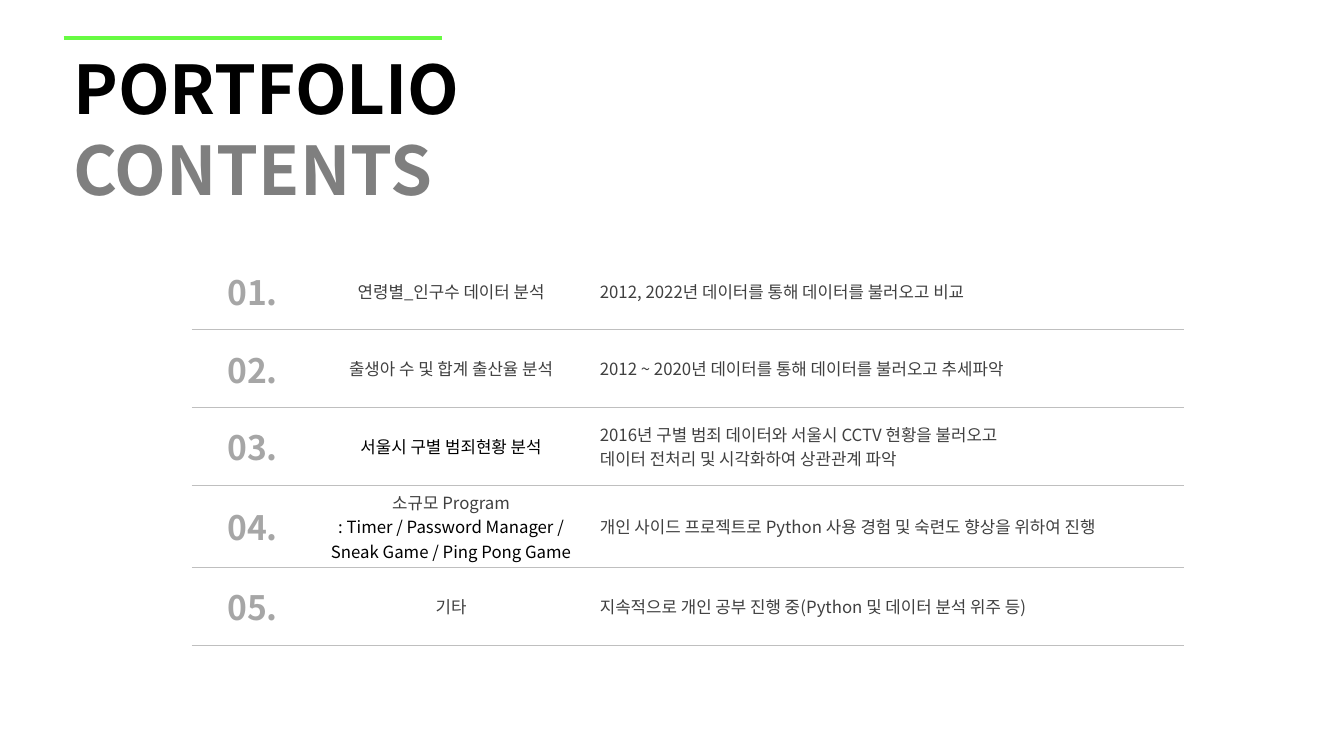
from lxml import etree
from pptx import Presentation
from pptx.dml.color import RGBColor
from pptx.enum.shapes import MSO_CONNECTOR
from pptx.enum.text import MSO_ANCHOR, PP_ALIGN
from pptx.oxml.ns import qn
from pptx.util import Inches, Pt

STRAIGHT = MSO_CONNECTOR.STRAIGHT
MIDDLE = MSO_ANCHOR.MIDDLE
LEFT, CENTER = PP_ALIGN.LEFT, PP_ALIGN.CENTER

HEADING = [("PORTFOLIO", "black"), (" CONTENTS", "gray")]
CONTENTS = [
    ([("연령별_인구수 데이터 분석", "text")],
     ["2012, 2022년 데이터를 통해 데이터를 불러오고 비교"]),
    ([("출생아 수 및 합계 출산율 분석", "text")],
     ["2012 ~ 2020년 데이터를 통해 데이터를 불러오고 추세파악"]),
    ([("서울시 구별 범죄현황 분석", "black")],
     ["2016년 구별 범죄 데이터와 서울시 CCTV 현황을 불러오고",
      "데이터 전처리 및 시각화하여 상관관계 파악"]),
    ([("소규모 Program", "text"),
      (": Timer / Password Manager / Sneak Game / Ping Pong Game", "black")],
     ["개인 사이드 프로젝트로 Python 사용 경험 및 숙련도 향상을 위하여 진행"]),
    ([("기타", "text")],
     ["지속적으로 개인 공부 진행 중(Python 및 데이터 분석 위주 등)"]),
]
COLUMN_WIDTHS = [1.19, 2.75, 5.89]
ROW_HEIGHTS = [0.77, 0.77, 0.77, 0.82, 0.77]

THEME = {
    "font": "Noto Sans CJK KR",
    "colors": {"black": "000000", "gray": "7F7F7F", "number": "A6A6A6",
               "text": "404040", "rule": "BFBFBF", "accent": "67FB42"},
    "sizes": {"heading": 48, "number": 24, "body": 12},
    "rule_width": 0.25,
    "accent_width": 3,
}


def rgb(color):
    return RGBColor.from_string(THEME["colors"][color])


def add_text(paragraph, text, size, color, bold=False):
    run = paragraph.add_run()
    run.text = text
    formats = {"name": THEME["font"], "size": Pt(THEME["sizes"][size]), "bold": bold}
    for attribute, value in formats.items():
        setattr(run.font, attribute, value)
    run.font.color.rgb = rgb(color)
    east_asian = etree.SubElement(run.font._element, qn("a:ea"))
    east_asian.set("typeface", THEME["font"])


def add_border(cell, side):
    border = etree.SubElement(cell._tc.get_or_add_tcPr(), qn(f"a:{side}"),
                              w=str(Pt(THEME["rule_width"])))
    fill = etree.SubElement(border, qn("a:solidFill"))
    etree.SubElement(fill, qn("a:srgbClr"), val=THEME["colors"]["rule"])


def fill_cell(cell, lines, size, alignment, bold, row):
    cell.vertical_anchor = MIDDLE
    if row > 0:
        add_border(cell, "lnT")
    add_border(cell, "lnB")
    cell.fill.background()
    frame = cell.text_frame
    for index, (text, color) in enumerate(lines):
        paragraph = frame.add_paragraph() if index else frame.paragraphs[0]
        paragraph.alignment = alignment
        add_text(paragraph, text, size, color, bold)


def add_heading(slide):
    heading = slide.shapes.add_textbox(Inches(0.63), Inches(0.42), Inches(5.13), Inches(1.72))
    heading.text_frame.word_wrap = True
    for text, color in HEADING:
        add_text(heading.text_frame.paragraphs[0], text, "heading", color, True)
    accent = slide.shapes.add_connector(
        STRAIGHT, Inches(0.63), Inches(0.38), Inches(4.38), Inches(0.38))
    accent.line.color.rgb = rgb("accent")
    accent.line.width = Pt(THEME["accent_width"])
    etree.SubElement(accent._element.spPr, qn("a:effectLst"))


def add_contents(slide):
    contents = slide.shapes.add_table(
        len(CONTENTS), len(COLUMN_WIDTHS), Inches(1.91), Inches(2.5),
        Inches(sum(COLUMN_WIDTHS)), Inches(sum(ROW_HEIGHTS))).table
    contents.first_row = False
    contents.horz_banding = False
    for column, width in zip(contents.columns, COLUMN_WIDTHS):
        column.width = Inches(width)
    for row, (topic, summary) in enumerate(CONTENTS):
        contents.rows[row].height = Inches(ROW_HEIGHTS[row])
        columns = [
            ([(f"{row + 1:02d}.", "number")], "number", CENTER, True),
            (topic, "body", CENTER, False),
            ([(line, "text") for line in summary], "body", LEFT, False),
        ]
        for column, (lines, size, alignment, bold) in enumerate(columns):
            fill_cell(contents.cell(row, column), lines, size, alignment, bold, row)


def main():
    deck = Presentation()
    deck.slide_width, deck.slide_height = Inches(13.33), Inches(7.5)
    slide = deck.slides.add_slide(deck.slide_layouts[6])
    add_heading(slide)
    add_contents(slide)
    deck.save("out.pptx")


if __name__ == "__main__":
    main()
